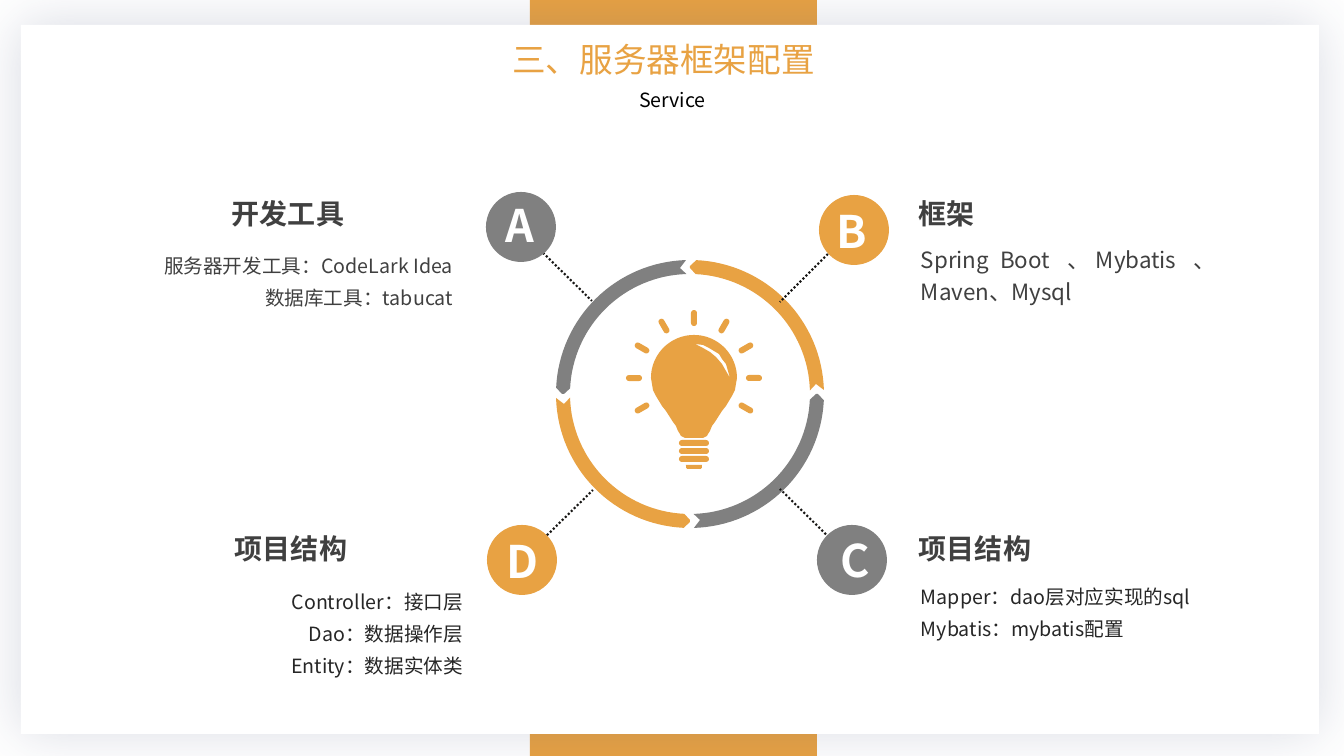
from collections import namedtuple
from math import cos, radians, sin

from lxml import etree
from pptx import Presentation
from pptx.dml.color import RGBColor
from pptx.enum.dml import MSO_LINE
from pptx.enum.shapes import MSO_CONNECTOR, MSO_SHAPE
from pptx.enum.text import MSO_ANCHOR, PP_ALIGN
from pptx.oxml.ns import qn
from pptx.util import Pt

SLIDE_W, SLIDE_H = 1344, 756
EMU_PER_PX = 12192000 / SLIDE_W
FONT = "Noto Sans CJK SC"

ORANGE = RGBColor(0xE8, 0xA2, 0x43)
GRAY = RGBColor(0x80, 0x80, 0x80)
WHITE = RGBColor(0xFF, 0xFF, 0xFF)
BLACK = RGBColor(0, 0, 0)
DARK = RGBColor(0x40, 0x40, 0x40)
DARKER = RGBColor(0x26, 0x26, 0x26)
LINK_INK = RGBColor(0x18, 0x17, 0x15)

RECT, OVAL, ROUNDED = MSO_SHAPE.RECTANGLE, MSO_SHAPE.OVAL, MSO_SHAPE.ROUNDED_RECTANGLE
BULB_FOOT = MSO_SHAPE.ROUND_2_SAME_RECTANGLE
LEFT, CENTER, RIGHT, JUSTIFY = PP_ALIGN.LEFT, PP_ALIGN.CENTER, PP_ALIGN.RIGHT, PP_ALIGN.JUSTIFY
TOP = MSO_ANCHOR.TOP
STRAIGHT = MSO_CONNECTOR.STRAIGHT
DOTTED = MSO_LINE.ROUND_DOT

BULB_NECK = [(42, 6), (41, 12), (38, 18), (35, 23), (32, 28), (28, 33), (21, 44),
             (18, 48), (16, 53), (14, 56), (13, 58), (11, 59), (9, 60)]
BULB_GLINT = [(1, -34), (9, -33), (15, -30), (20, -27), (25, -24), (28, -19), (32, -14),
              (34, -7), (36, 0), (32, -7), (28, -14), (22, -21), (16, -26), (9, -30), (3, -33)]

Topic = namedtuple("Topic", "letter color badge letter_at link heading heading_at "
                            "lines body_at body_h size ink align")
TOPICS = [
    Topic("A", GRAY, (486, 192), (10, 1), (45, 49, 106, 109), "开发工具", (-264, 0),
          ["服务器开发工具：CodeLark Idea", "数据库工具：tabucat"], (-338, 48), 73, 14, DARK, RIGHT),
    Topic("B", ORANGE, (819, 195), (8, 4), (9, 59, -39, 107), "框架", (90, -3),
          ["Spring Boot 、Mybatis 、Maven、Mysql"], (92, 41), 73, 16, DARK, JUSTIFY),
    Topic("C", GRAY, (817, 525), (14, 3), (27, 27, -37, -36), "项目结构", (92, 2),
          ["Mapper：dao层对应实现的sql", "Mybatis：mybatis配置"], (94, 46), 73, 14, DARKER, JUSTIFY),
    Topic("D", ORANGE, (487, 525), (10, 4), (42, 28, 106, -35), "项目结构", (-262, 2),
          ["Controller：接口层", "Dao：数据操作层", "Entity：数据实体类"],
          (-329, 51), 137, 14, DARKER, RIGHT),
]


def px(length):
    return round(length * EMU_PER_PX)


def write(slide, box, lines, *, size, color, bold=False, align=LEFT, spacing=None,
          wrap=True, holder=None):
    area = [px(v) for v in box]
    if holder is None:
        holder = slide.shapes.add_textbox(*area)
    else:
        holder.left, holder.top, holder.width, holder.height = area
    frame = holder.text_frame
    frame.word_wrap = wrap
    frame.vertical_anchor = TOP
    for i, line in enumerate(lines):
        paragraph = frame.add_paragraph() if i else frame.paragraphs[0]
        paragraph.alignment = align
        paragraph.space_before = Pt(0)
        paragraph.line_spacing = Pt(spacing) if spacing else 1.0
        run = paragraph.add_run()
        run.text = line
        run.font.size, run.font.bold = Pt(size), bold
        run.font.color.rgb = color
        run.font.name = FONT
        etree.SubElement(run._r.get_or_add_rPr(), qn("a:ea"), typeface=FONT)


def paint(shape, color):
    shape.shadow.inherit = False
    shape.fill.solid()
    shape.fill.fore_color.rgb = color
    shape.line.fill.background()
    return shape


def solid(slide, preset, box, color):
    return paint(slide.shapes.add_shape(preset, *[px(v) for v in box]), color)


def outline(slide, contours, color):
    scaled = [[(px(x), px(y)) for x, y in contour] for contour in contours]
    builder = slide.shapes.build_freeform(*scaled[0][0], scale=1.0)
    builder.add_line_segments(scaled[0][1:], close=True)
    for contour in scaled[1:]:
        builder.move_to(*contour[0])
        builder.add_line_segments(contour[1:], close=True)
    paint(builder.convert_to_shape(), color)


def arc(radius, start, end, steps=32):
    angles = [radians(start + (end - start) * i / steps) for i in range(steps + 1)]
    return [(radius * sin(a), -radius * cos(a)) for a in angles]


def backdrop(slide):
    solid(slide, RECT, (530, 0, 287, SLIDE_H), ORANGE)
    card = solid(slide, RECT, (21, 25, 1298, 709), WHITE)
    effects = card.element.spPr.find(qn("a:effectLst"))
    glow = etree.SubElement(effects, qn("a:outerShdw"), blurRad=str(Pt(40)), dist="0",
                            dir="0", algn="ctr", rotWithShape="0")
    tint = etree.SubElement(glow, qn("a:srgbClr"), val="434E77")
    etree.SubElement(tint, qn("a:alpha"), val="20000")


def header(slide):
    title = slide.shapes.title
    title.element.getparent().append(title.element)
    write(slide, (304, 34, 719, 50), ["三、服务器框架配置"], size=24, color=ORANGE,
          align=CENTER, holder=title)
    write(slide, (323, 83, 699, 34), ["Service"], size=14, color=BLACK, align=CENTER)


def cycle_ring(slide, cx, cy):
    segment = (arc(134, 2.7, 88.3) + [(126, -10)] + arc(120, 88.3, 2.7)
               + [(0, -126), (0, -128)])
    for quarter, color in enumerate((ORANGE, GRAY, ORANGE, GRAY)):
        turn = radians(90 * quarter)
        outline(slide, [[(cx + x * cos(turn) - y * sin(turn),
                          cy + x * sin(turn) + y * cos(turn)) for x, y in segment]], color)


def light_bulb(slide, cx, cy):
    right = arc(43, 0, 90) + BULB_NECK
    glass = right + [(-x, y) for x, y in reversed(right)]
    outline(slide, [[(cx + x, cy + y) for x, y in contour]
                    for contour in (glass, BULB_GLINT)], ORANGE)
    for angle in range(-120, 121, 30):
        x, y = cx + 60 * sin(radians(angle)), cy - 60 * cos(radians(angle))
        ray = solid(slide, ROUNDED, (x - 8, y - 3, 16, 6), ORANGE)
        ray.adjustments[0] = 0.5
        ray.rotation = angle - 90
    for row in range(3):
        thread = solid(slide, ROUNDED, (cx - 15, cy + 62 + 8 * row, 30, 6), ORANGE)
        thread.adjustments[0] = 0.5
    foot = solid(slide, BULB_FOOT, (cx - 8, cy + 87, 16, 4), ORANGE)
    foot.adjustments[0] = 0.5
    foot.rotation = 180


def topic_block(slide, topic):
    x, y = topic.badge

    def at(offset, width, height):
        return x + offset[0], y + offset[1], width, height

    x1, y1, x2, y2 = topic.link
    link = slide.shapes.add_connector(STRAIGHT, px(x + x1), px(y + y1), px(x + x2), px(y + y2))
    link.line.color.rgb = LINK_INK
    link.line.width = Pt(1.5)
    link.line.dash_style = DOTTED
    etree.SubElement(link.element.spPr, qn("a:effectLst"))
    solid(slide, OVAL, (x, y, 70, 70), topic.color)
    write(slide, at(topic.letter_at, 49, 65), [topic.letter], size=32, color=WHITE,
          bold=True, wrap=False)
    write(slide, at(topic.heading_at, 253, 44), [topic.heading], size=20, color=DARK,
          bold=True, align=JUSTIFY)
    write(slide, at(topic.body_at, 315, topic.body_h), topic.lines, size=topic.size,
          color=topic.ink, align=topic.align, spacing=23)


def main():
    deck = Presentation()
    deck.slide_width, deck.slide_height = px(SLIDE_W), px(SLIDE_H)
    slide = deck.slides.add_slide(deck.slide_layouts[5])
    backdrop(slide)
    cycle_ring(slide, 690, 394)
    for topic in TOPICS:
        topic_block(slide, topic)
    light_bulb(slide, 694, 378)
    header(slide)
    deck.save("out.pptx")


if __name__ == "__main__":
    main()
